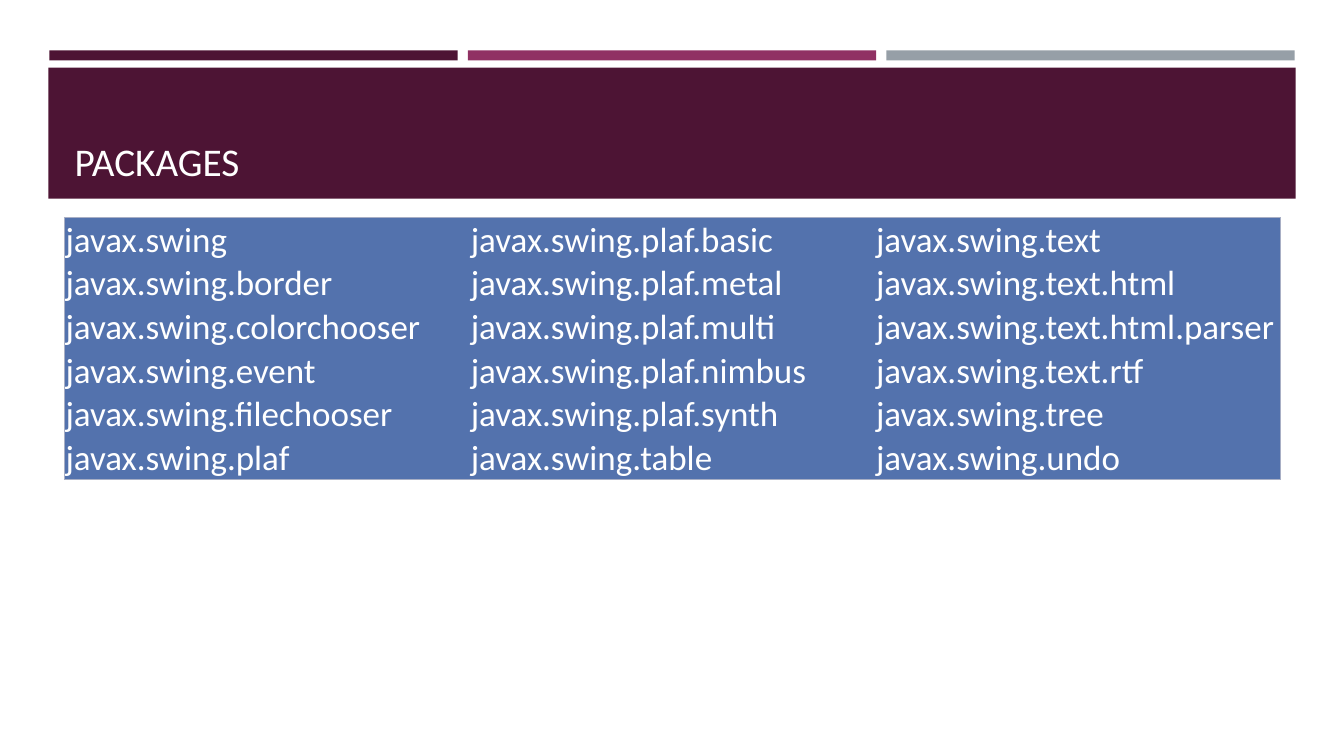
import dataclasses

import pptx
import pptx.dml.color
import pptx.enum.shapes
import pptx.enum.text
import pptx.oxml
import pptx.oxml.ns
import pptx.shapes.autoshape
import pptx.slide
import pptx.table
import pptx.text.text
import pptx.util

Inches = pptx.util.Inches
FONT = "Calibri"
PLUM = "4D1434"
WHITE = "FFFFFF"
TABLE_FILL = "5372AD"
TABLE_BORDER = "A8AFC5"

PACKAGES = [
    ["javax.swing", "javax.swing.plaf.basic", "javax.swing.text"],
    ["javax.swing.border", "javax.swing.plaf.metal", "javax.swing.text.html"],
    ["javax.swing.colorchooser", "javax.swing.plaf.multi", "javax.swing.text.html.parser"],
    ["javax.swing.event", "javax.swing.plaf.nimbus", "javax.swing.text.rtf"],
    ["javax.swing.filechooser", "javax.swing.plaf.synth", "javax.swing.tree"],
    ["javax.swing.plaf", "javax.swing.table", "javax.swing.undo"],
]


@dataclasses.dataclass
class Bar:
    left: float
    top: float
    width: float
    height: float
    fill: str


BARS = [
    Bar(0.49 + index * 4.15, 0.5, 4.05, 0.1, fill)
    for index, fill in enumerate([PLUM, "903163", "969FA7"])
] + [Bar(0.48, 0.67, 12.37, 1.3, PLUM)]


def color(value: str) -> pptx.dml.color.RGBColor:
    return pptx.dml.color.RGBColor.from_string(value)


def set_attributes(target: object, values: dict) -> None:
    for name, value in values.items():
        setattr(target, name, value)


def format_text(paragraph: pptx.text.text._Paragraph, size: float) -> None:
    paragraph.alignment = pptx.enum.text.PP_ALIGN.LEFT
    font = paragraph.runs[0].font
    set_attributes(font, {"name": FONT, "size": pptx.util.Pt(size), "bold": False})
    font.color.rgb = color(WHITE)


def draw_bar(slide: pptx.slide.Slide, bar: Bar) -> None:
    shape = slide.shapes.add_shape(
        pptx.enum.shapes.MSO_SHAPE.RECTANGLE,
        Inches(bar.left), Inches(bar.top), Inches(bar.width), Inches(bar.height),
    )
    shape.shadow.inherit = False
    shape.fill.solid()
    shape.fill.fore_color.rgb = color(bar.fill)
    shape.line.fill.background()


def draw_title(slide: pptx.slide.Slide, text: str) -> None:
    title = slide.shapes.title
    set_attributes(title, {
        "left": Inches(0.64), "top": Inches(0.77),
        "width": Inches(12.06), "height": Inches(1.11),
    })
    title.text_frame.text = text
    set_attributes(title.text_frame, {
        "vertical_anchor": pptx.enum.text.MSO_ANCHOR.BOTTOM,
        "auto_size": pptx.enum.text.MSO_AUTO_SIZE.NONE,
        "word_wrap": True,
    })
    format_text(title.text_frame.paragraphs[0], 28)
    title.element.getparent().append(title.element)


def set_borders(cell: pptx.table._Cell, outer_sides: dict[str, bool]) -> None:
    properties = cell._tc.get_or_add_tcPr()
    namespace = pptx.oxml.ns.nsdecls("a")
    for index, (side, is_outer) in enumerate(outer_sides.items()):
        paint = (
            f'<a:solidFill><a:srgbClr val="{TABLE_BORDER}"/></a:solidFill>'
            if is_outer else "<a:noFill/>"
        )
        border = f'<a:ln{side} {namespace} w="12700">{paint}</a:ln{side}>'
        properties.insert(index, pptx.oxml.parse_xml(border))


def draw_table(slide: pptx.slide.Slide, rows: list[list[str]]) -> None:
    row_count, column_count = len(rows), len(rows[0])
    table = slide.shapes.add_table(
        row_count, column_count,
        Inches(0.64), Inches(2.16), Inches(12.06), Inches(0.43 * row_count),
    ).table
    set_attributes(table, {"first_row": False, "horz_banding": False})
    for row_index, row in enumerate(rows):
        for column_index, text in enumerate(row):
            cell = table.cell(row_index, column_index)
            cell.text = text
            set_attributes(cell, {
                "margin_left": Inches(0.01), "margin_right": Inches(0.01),
                "margin_top": Inches(0.01), "margin_bottom": 0,
                "vertical_anchor": pptx.enum.text.MSO_ANCHOR.BOTTOM,
            })
            cell.fill.solid()
            cell.fill.fore_color.rgb = color(TABLE_FILL)
            format_text(cell.text_frame.paragraphs[0], 25)
            set_borders(cell, {
                "L": column_index == 0,
                "R": column_index == column_count - 1,
                "T": row_index == 0,
                "B": row_index == row_count - 1,
            })


presentation = pptx.Presentation()
set_attributes(presentation, {"slide_width": Inches(13.33), "slide_height": Inches(7.5)})
slide = presentation.slides.add_slide(presentation.slide_layouts.get_by_name("Title Only"))
for bar in BARS:
    draw_bar(slide, bar)
draw_title(slide, "PACKAGES")
draw_table(slide, PACKAGES)
presentation.save("out.pptx")
